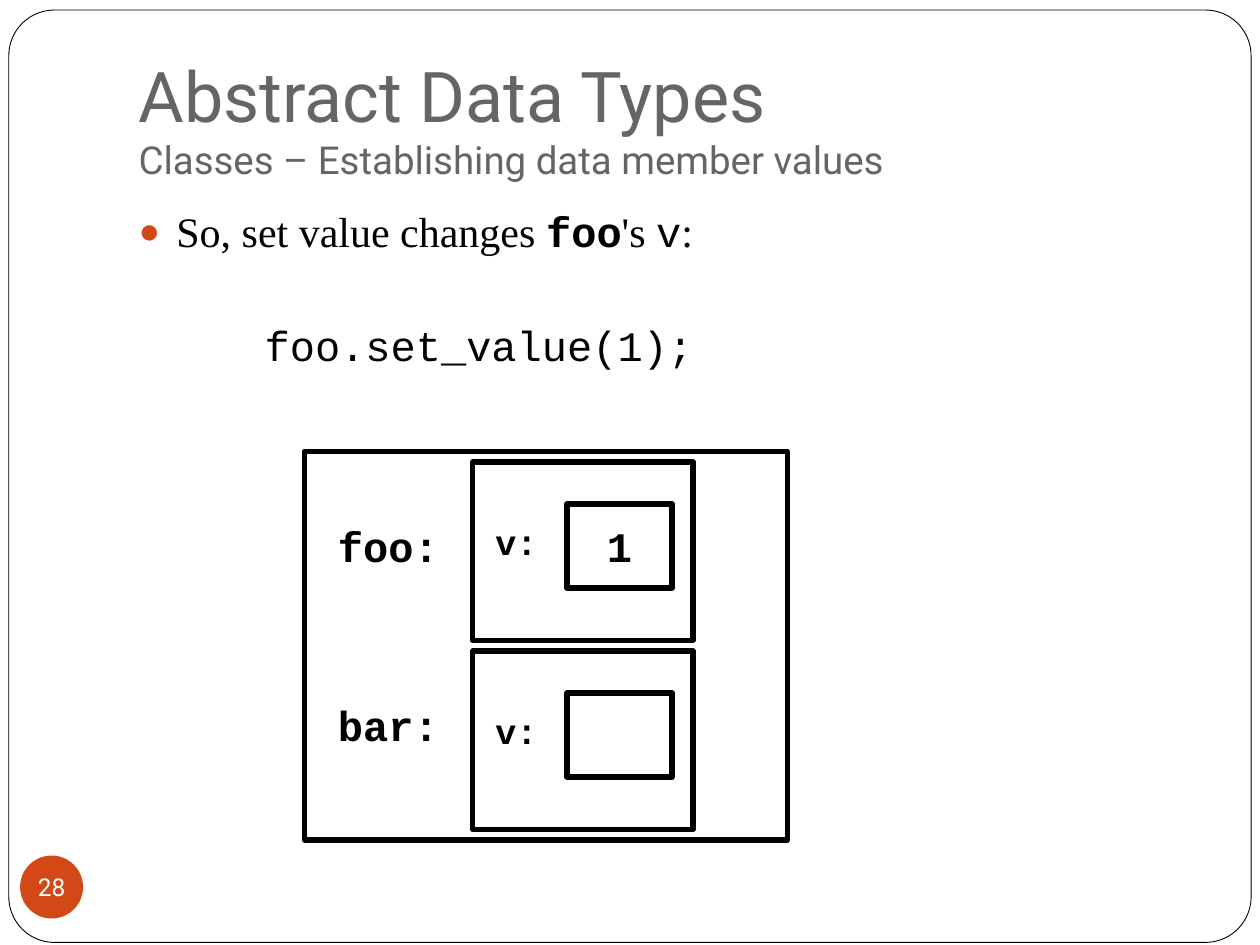
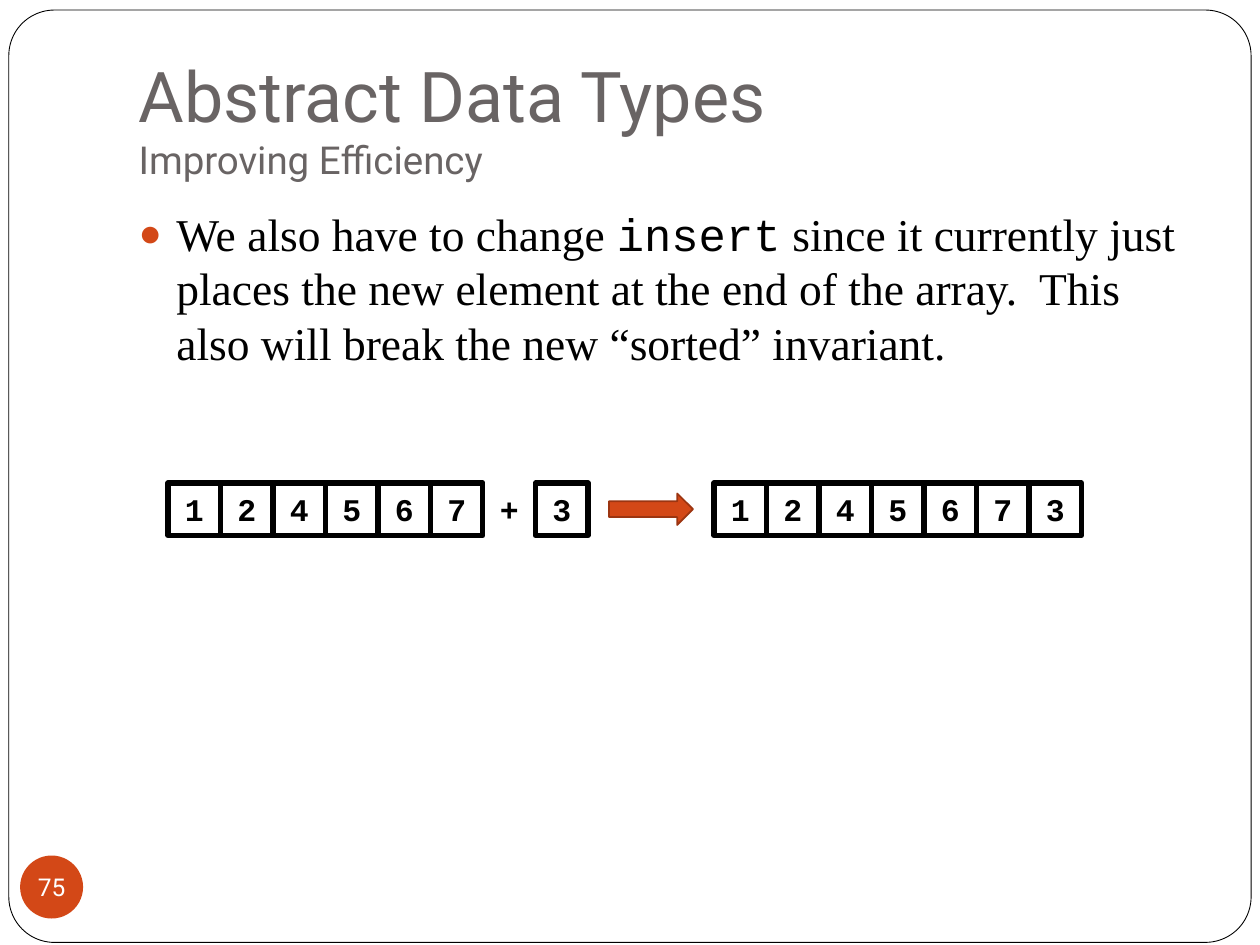
from dataclasses import dataclass, field
from typing import Any

from lxml.etree import SubElement
from pptx import Presentation
from pptx.dml.color import RGBColor as RGB
from pptx.enum.shapes import MSO_SHAPE as Kind
from pptx.enum.text import MSO_ANCHOR as Anchor, MSO_AUTO_SIZE as Auto, PP_ALIGN as Align
from pptx.oxml.ns import qn
from pptx.util import Inches, Pt

INK = RGB(0x00, 0x00, 0x00)
WHITE = RGB(0xFF, 0xFF, 0xFF)
GREY = RGB(0x69, 0x64, 0x64)
RUST = RGB(0xD3, 0x48, 0x17)
BROWN = RGB(0x9C, 0x35, 0x11)
SANS, SERIF, MONO = "Roboto", "Times New Roman", "Courier New"

ROWS = 90  # the slide is 120 columns by 90 rows, 12 to the inch
COLS = 120
UNIT = Inches(10) // COLS
CELL = 5


@dataclass(frozen=True)
class Box:
    """A place on the grid, in columns and rows."""
    x: float
    y: float
    w: float
    h: float

    def place(self) -> dict[str, int]:
        """Give the place as shape attributes."""
        names = ("left", "top", "width", "height")
        return {n: round(v * UNIT) for n, v in zip(names, (self.x, self.y, self.w, self.h))}


@dataclass(frozen=True)
class Word:
    """A run of text with its format."""
    text: str
    size: float
    face: str = MONO
    bold: bool = False
    color: RGB = INK


@dataclass(frozen=True)
class Look:
    """The fill, line and line width of a shape."""
    fill: RGB | None = None
    line: RGB | None = INK
    width: float = 3


@dataclass(frozen=True)
class Page:
    """The parts of a slide that every slide has."""
    topic: str
    number: int
    rows: int
    lines: list[list[Word]] = field(default_factory=list)


FRAME = Box(0.84, 0.96, 118.32, 88.8)
TITLE = Box(12, 3.6, 102, 15)
BADGE = Box(1.92, 81.48, 6, 6)
MID = {"vertical_anchor": Anchor.MIDDLE, "word_wrap": True}
BARE = {f"margin_{side}": 0 for side in ("left", "top", "right", "bottom")}


def apply(item: Any, vals: dict[str, Any]) -> None:
    """Set attributes from a dict."""
    for name, val in vals.items():
        setattr(item, name, val)


def write(para: Any, words: list[Word]) -> None:
    """Add formatted runs to a paragraph."""
    for word in words:
        run = para.add_run()
        run.text = word.text
        apply(run.font, {"name": word.face, "size": Pt(word.size), "bold": word.bold})
        run.font.color.rgb = word.color


def draw(slide: Any, kind: Kind, box: Box, look: Look = Look(), word: Word | None = None) -> Any:
    """Add a preset shape, with centred text if there is any."""
    shape = slide.shapes.add_shape(kind, *box.place().values())
    shape.shadow.inherit = False
    for part, color in ((shape.fill, look.fill), (shape.line.fill, look.line)):
        if color is None:
            part.background()
        else:
            part.solid()
            part.fore_color.rgb = color
    if look.line is not None:
        shape.line.width = Pt(look.width)
    if word:
        apply(shape.text_frame, MID)
        para = shape.text_frame.paragraphs[0]
        para.alignment = Align.CENTER
        write(para, [word])
    return shape


def label(slide: Any, box: Box, word: Word, frame: dict[str, Any], align: Align = Align.LEFT) -> None:
    """Add a text box."""
    text = slide.shapes.add_textbox(*box.place().values()).text_frame
    apply(text, frame)
    text.paragraphs[0].alignment = align
    write(text.paragraphs[0], [word])


def indent(para: Any, left: float, first: float) -> Any:
    """Set the left margin and first indent; return the properties."""
    props = para._p.get_or_add_pPr()
    props.set("marL", str(Inches(left)))
    props.set("indent", str(Inches(first)))
    return props


def bullet(para: Any) -> None:
    """Give a paragraph the round rust bullet."""
    props = indent(para, 0.3, -0.3)
    tint = SubElement(props, qn("a:buClr"))
    SubElement(tint, qn("a:srgbClr")).set("val", str(RUST))
    SubElement(props, qn("a:buSzPct")).set("val", "85000")
    SubElement(props, qn("a:buChar")).set("char", "●")
    para.space_before = Pt(5.8)


def code(para: Any) -> None:
    """Set a paragraph apart as a line of code."""
    SubElement(indent(para, 1, 0), qn("a:buNone"))
    para.space_before = Pt(36)


def border(deck: Any, slide: Any) -> None:
    """Draw the rounded frame and move it to the master."""
    shape = draw(slide, Kind.ROUNDED_RECTANGLE, FRAME, Look(WHITE, INK, 0.5))
    shape.adjustments[0] = 0.049
    shape.element.xpath(".//p:cNvPr")[0].set("id", "20")
    deck.slide_master.shapes.element.insert(2, shape.element)


def start(deck: Any, page: Page) -> Any:
    """Add a slide with its title, list and number."""
    slide = deck.slides.add_slide(deck.slide_layouts[1])
    title, body = slide.placeholders
    apply(title, TITLE.place())
    apply(title.text_frame, {"auto_size": Auto.NONE, "vertical_anchor": Anchor.BOTTOM,
                             "margin_bottom": Inches(0.1)})
    head = title.text_frame.paragraphs[0]
    head.alignment = Align.LEFT
    write(head, [Word("Abstract Data Types", 40, SANS, color=GREY)])
    head.add_line_break()
    write(head, [Word(page.topic, 22, SANS, color=GREY)])

    apply(body, Box(12, 19, 102, page.rows).place())
    text = body.text_frame
    text.auto_size = Auto.NONE
    for i, words in enumerate(page.lines):
        para = text.add_paragraph() if i else text.paragraphs[0]
        (code if i else bullet)(para)
        write(para, words)

    badge = draw(slide, Kind.OVAL, BADGE, Look(RUST, None),
                 Word(str(page.number), 14, SANS, color=WHITE))
    apply(badge.text_frame, BARE | {"word_wrap": False})
    return slide


def record(slide: Any, name: str, box: Box, row: float, value: Word | None = None) -> None:
    """Draw a named object with its data member v."""
    draw(slide, Kind.RECTANGLE, box)
    draw(slide, Kind.RECTANGLE, Box(box.x + 9, box.y + 4, 10, 8), word=value)
    label(slide, Box(31, row, 12.1, 6), Word(name, 24, bold=True), {"word_wrap": False})
    label(slide, Box(box.x + 1, box.y + 5, 7, 5.3), Word("v:", 20, bold=True), {"word_wrap": True})


def array(slide: Any, col: int, row: int, digits: str) -> None:
    """Draw a row of touching cells, one digit in each."""
    for i, digit in enumerate(digits):
        draw(slide, Kind.RECTANGLE, Box(col + i * CELL, row, CELL, CELL),
             word=Word(digit, 18, bold=True))


def values(deck: Any) -> None:
    """Build the slide on data member values."""
    slide = start(deck, Page("Classes – Establishing data member values", 28, 66, [
        [Word("So, set value changes ", 24, SERIF), Word("foo", 24, bold=True),
         Word("'s ", 24, SERIF), Word("v", 24), Word(":", 24, SERIF)],
        [Word("foo.set_value(1);", 24)],
    ]))
    border(deck, slide)
    draw(slide, Kind.RECTANGLE, Box(29, 43, 46, 37))
    record(slide, "foo:", Box(45, 44, 21, 17), 49, Word("1", 24, bold=True))
    record(slide, "bar:", Box(45, 62, 21, 17), 66)


def insertion(deck: Any) -> None:
    """Build the slide on inserting into a sorted array."""
    slide = start(deck, Page("Improving Efficiency", 75, 60, [
        [Word("We also have to change ", 26, SERIF), Word("insert", 26),
         Word(" since it currently just places the new element at the end of the array.  "
              "This also will break the new “sorted” invariant.", 26, SERIF)],
    ]))
    row = 46
    for col, digits in ((16, "124567"), (51, "3"), (68, "1245673")):
        array(slide, col, row, digits)
    label(slide, Box(46, row, CELL, CELL), Word("+", 18, bold=True), MID, Align.CENTER)
    draw(slide, Kind.RIGHT_ARROW, Box(58, row + 1, 8, 3), Look(RUST, BROWN, 1))


def main() -> None:
    """Build and save the deck."""
    deck = Presentation()
    apply(deck, {"slide_width": COLS * UNIT, "slide_height": ROWS * UNIT})
    values(deck)
    insertion(deck)
    deck.save("out.pptx")


main()
